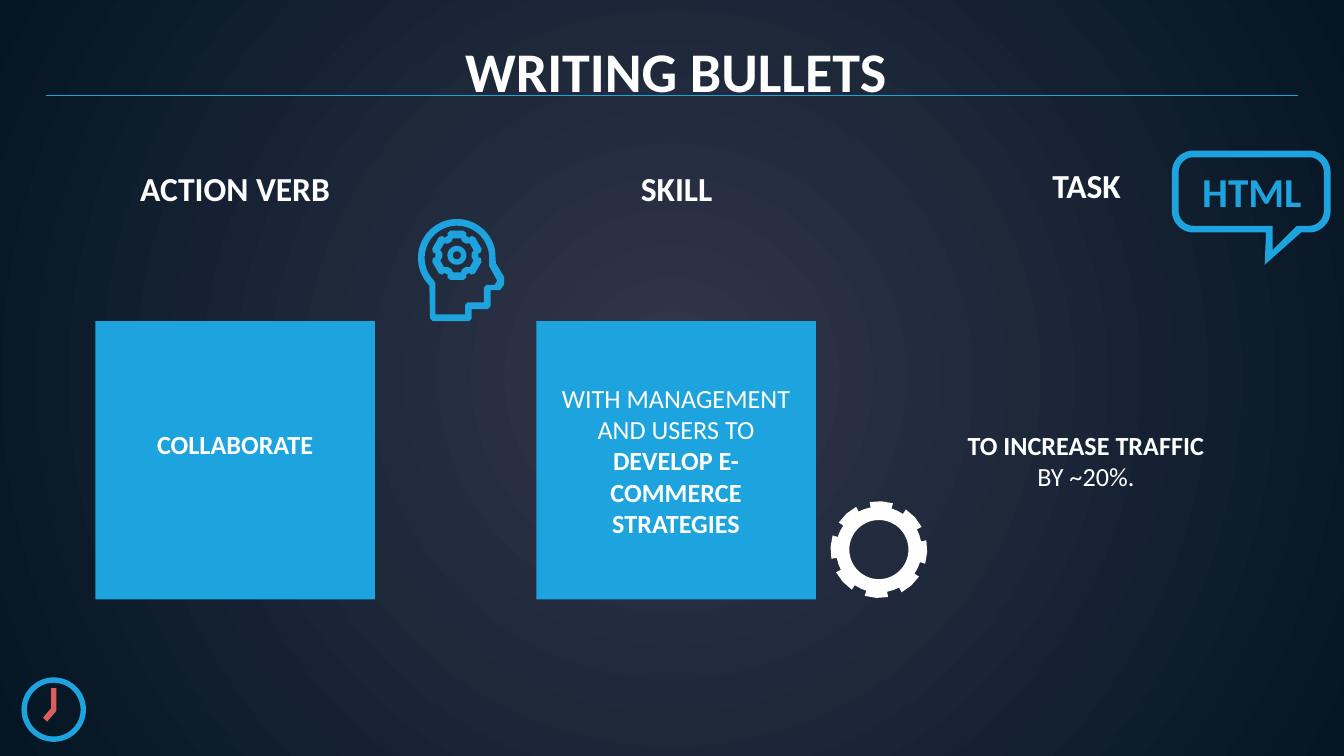
from dataclasses import dataclass
from math import cos, radians, sin

from lxml import etree
from pptx import Presentation
from pptx.dml.color import RGBColor
from pptx.enum import shapes, text
from pptx.oxml.ns import qn
from pptx.util import Pt

PX = 9144
SLIDE_WIDTH = 1000 * PX
SLIDE_HEIGHT = SLIDE_WIDTH * 9 // 16
BLUE, WHITE, RED = "1DA3DD", "FFFFFF", "DC5D59"
Point = tuple[float, float]
Contour = list[Point]


@dataclass
class Box:
    left: int
    top: int
    width: int
    height: int

    def emu(self) -> list[int]:
        return [side * PX for side in (self.left, self.top, self.width, self.height)]


@dataclass
class Column:
    heading: str
    heading_box: Box
    runs: list[tuple[str, bool]]
    left: int
    filled: bool = True
    bottom_inset: int = 10


def color(value: str) -> RGBColor:
    return RGBColor.from_string(value)


def write(shape, runs: list[tuple[str, bool]], size: int, hue: str = WHITE,
          anchor=text.MSO_ANCHOR.MIDDLE, bottom_inset: int = 10) -> None:
    frame = shape.text_frame
    frame.word_wrap = True
    frame.auto_size = text.MSO_AUTO_SIZE.NONE
    frame.vertical_anchor = anchor
    frame.margin_left = frame.margin_right = frame.margin_top = 10 * PX
    frame.margin_bottom = bottom_inset * PX
    paragraph = frame.paragraphs[0]
    paragraph.alignment = text.PP_ALIGN.CENTER
    for words, bold in runs:
        run = paragraph.add_run()
        run.text = words
        run.font.name = "Calibri"
        run.font.size = Pt(size)
        run.font.bold = bold
        run.font.color.rgb = color(hue)


def paint(shape, hue: str) -> None:
    shape.shadow.inherit = False
    shape.fill.solid()
    shape.fill.fore_color.rgb = color(hue)
    shape.line.fill.background()


def draw_contours(slide, contours: list[Contour], hue: str) -> None:
    outlines = [[(x * PX, y * PX) for x, y in contour] for contour in contours]
    builder = slide.shapes.build_freeform(*outlines[0][0])
    builder.add_line_segments(outlines[0][1:], close=True)
    for outline in outlines[1:]:
        builder.move_to(*outline[0])
        builder.add_line_segments(outline[1:], close=True)
    paint(builder.convert_to_shape(), hue)


def polar(center: Point, radius: float, angle: float) -> Point:
    return (center[0] + radius * cos(radians(angle)),
            center[1] + radius * sin(radians(angle)))


def arc(center: Point, radius: float, start: int, end: int) -> Contour:
    steps = max(6, (end - start) // 6)
    return [polar(center, radius, start + (end - start) * i / steps)
            for i in range(steps + 1)]


def circle(center: Point, radius: float) -> Contour:
    return arc(center, radius, 0, 354)


def gear(center: Point, teeth: int, first: int, profile: list[Point]) -> Contour:
    return [polar(center, radius, first + 360 / teeth * tooth + offset)
            for tooth in range(teeth) for offset, radius in profile]


def bubble(left: int, top: int, right: int, bottom: int, radius: int,
           tail: Contour) -> Contour:
    west, east = left + radius, right - radius
    north, south = top + radius, bottom - radius
    return (arc((west, north), radius, 180, 270) + arc((east, north), radius, 270, 360)
            + arc((east, south), radius, 0, 90) + tail
            + arc((west, south), radius, 90, 180))


def draw_clock(slide) -> None:
    draw_contours(slide, [circle((40, 528), 24), circle((40, 528), 20)], BLUE)
    hands = [(38, 512), (38, 527), (32, 534), (35, 537), (42, 529), (42, 512)]
    draw_contours(slide, [hands], RED)


def draw_head(slide) -> None:
    outer = arc((340, 192), 29, 135, 348) + [
        (369, 196), (375, 206), (375, 212), (372, 216), (365, 216), (365, 228),
        (363, 230), (351, 230), (351, 237), (349, 239), (322, 239), (320, 237)]
    inner = arc((340, 192), 24, 135, 360) + [
        (364, 198), (370, 209), (368, 212), (362, 212), (360, 214), (360, 225),
        (348, 225), (346, 227), (346, 234), (324, 234), (324, 211)]
    brain = (340, 190)
    cog = gear(brain, 6, -90, [(-25, 16), (-23, 18), (-15, 19), (15, 19), (23, 18), (25, 16)])
    cog_hole = gear(brain, 6, -90, [(-22, 11), (-13, 13), (13, 13), (22, 11)])
    for contours in ([outer, inner], [cog, cog_hole], [circle(brain, 7), circle(brain, 3)]):
        draw_contours(slide, contours, BLUE)


def draw_gear(slide) -> None:
    center = (654, 409)
    teeth = gear(center, 8, -87, [(-14, 32), (-14, 36), (0, 36), (14, 36), (14, 32), (22, 32)])
    draw_contours(slide, [teeth, circle(center, 22)], WHITE)


def draw_bubble(slide) -> None:
    outer = bubble(872, 112, 990, 173, 16, [(968, 173), (941, 197), (942, 173)])
    inner = bubble(877, 117, 985, 168, 11, [(965, 168), (947, 186), (947, 168)])
    draw_contours(slide, [outer, inner], BLUE)
    label = slide.shapes.add_textbox(*Box(880, 119, 103, 47).emu())
    write(label, [("HTML", True)], 22, BLUE)


def draw_background(slide) -> None:
    fill = slide.background.fill
    fill.gradient()
    for stop, hue in zip(fill.gradient_stops, ("32374C", "041523")):
        stop.color.rgb = color(hue)
    fill.gradient_stops[0].position = 0
    fill.gradient_stops[1].position = 1
    gradient = slide.element.find(".//" + qn("a:gradFill"))
    gradient.remove(gradient.find(qn("a:lin")))
    radial = etree.SubElement(gradient, qn("a:path"), {"path": "circle"})
    etree.SubElement(radial, qn("a:fillToRect"), {side: "50000" for side in "ltrb"})


def draw_title(slide) -> None:
    title = slide.shapes.title
    title.left, title.top, title.width, title.height = Box(3, 3, 1000, 99).emu()
    write(title, [("WRITING BULLETS", True)], 30)
    rule = slide.shapes.add_connector(
        shapes.MSO_CONNECTOR.STRAIGHT, 34 * PX, 71 * PX, 966 * PX, 71 * PX)
    rule.line.fill.solid()
    rule.line.fill.fore_color.rgb = color(BLUE)
    rule.line.width = Pt(0.75)
    etree.SubElement(rule.element.spPr, qn("a:effectLst"))
    rule.element.remove(rule.element.find(qn("p:style")))


def draw_column(slide, column: Column) -> None:
    heading = slide.shapes.add_textbox(*column.heading_box.emu())
    write(heading, [(column.heading, True)], 18, anchor=text.MSO_ANCHOR.BOTTOM)
    place = Box(column.left, 239, 208, 207).emu()
    if column.filled:
        panel = slide.shapes.add_shape(shapes.MSO_SHAPE.RECTANGLE, *place)
        paint(panel, BLUE)
    else:
        panel = slide.shapes.add_textbox(*place)
    write(panel, column.runs, 14, bottom_inset=column.bottom_inset)


COLUMNS = [
    Column("ACTION VERB", Box(75, 144, 200, 21), [("COLLABORATE", True)], 71,
           bottom_inset=34),
    Column("SKILL", Box(400, 144, 207, 21),
           [("WITH MANAGEMENT AND USERS TO ", False),
            ("DEVELOP E-COMMERCE STRATEGIES", True)], 399),
    Column("TASK", Box(705, 142, 207, 21),
           [("TO INCREASE TRAFFIC", True), (" BY ~20%.", False)], 704, filled=False),
]


def main() -> None:
    deck = Presentation()
    deck.slide_width, deck.slide_height = SLIDE_WIDTH, SLIDE_HEIGHT
    slide = deck.slides.add_slide(deck.slide_layouts[5])
    draw_background(slide)
    draw_title(slide)
    for column in COLUMNS:
        draw_column(slide, column)
    for draw_icon in (draw_clock, draw_head, draw_gear, draw_bubble):
        draw_icon(slide)
    deck.save("out.pptx")


if __name__ == "__main__":
    main()
